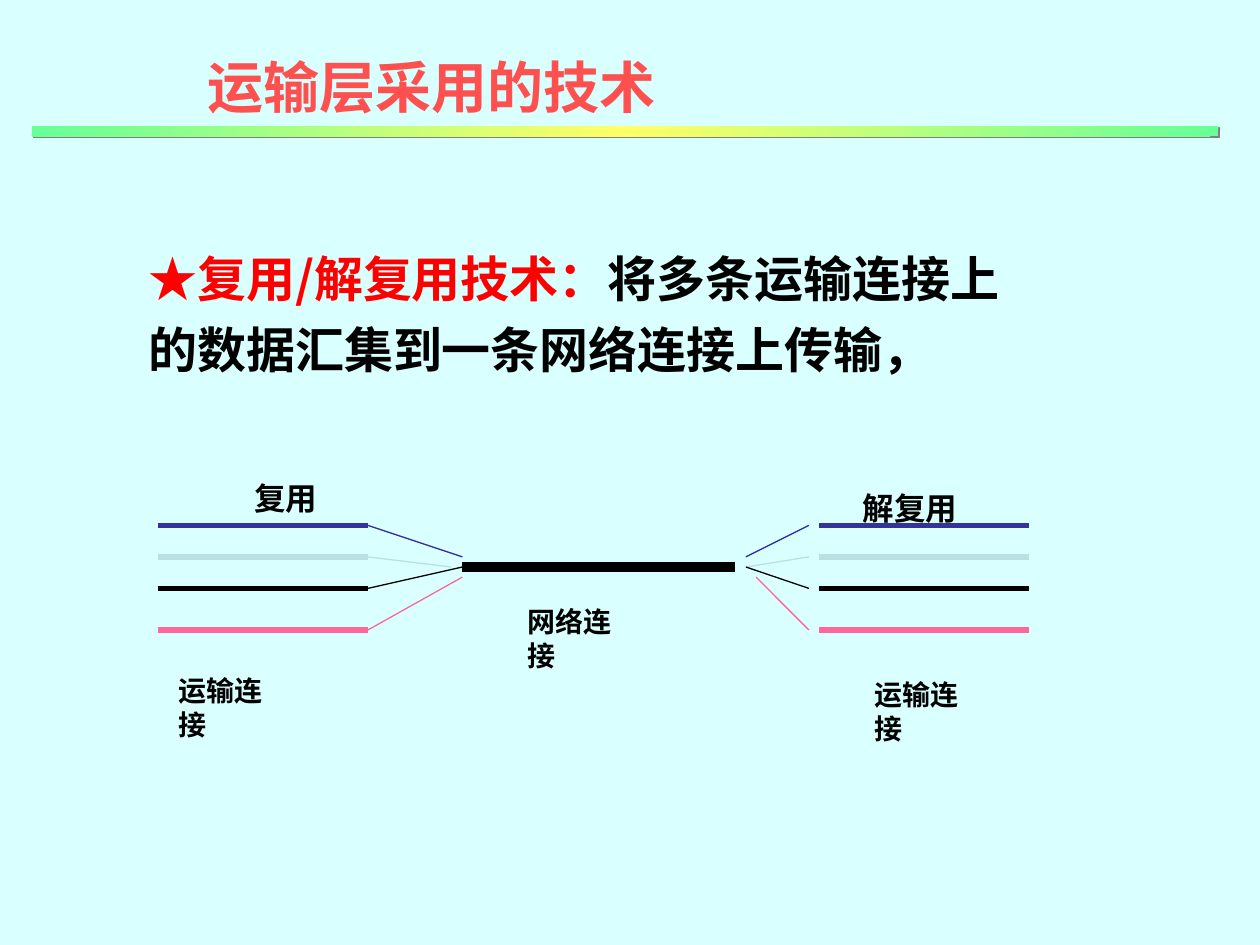
"""Build the slide on multiplexing in the transport layer."""
from dataclasses import dataclass

from lxml.etree import SubElement
from pptx import Presentation
from pptx.dml.color import RGBColor
from pptx.enum.shapes import MSO_CONNECTOR as Connector, MSO_SHAPE as Shape
from pptx.enum.text import MSO_AUTO_SIZE as AutoSize
from pptx.oxml.ns import qn
from pptx.util import Inches, Pt


@dataclass(frozen=True)
class Theme:
    """Colours, fonts and type sizes of the slide."""
    background: str = "D9FFFF"
    title: str = "FF5050"
    keyword: str = "FF0000"
    ink: str = "000000"
    bar_edge: str = "66FF99"
    bar_middle: str = "FFFF66"
    bar_shadow: str = "808080"
    streams: tuple = ("333399", "BBE0E3", "000000", "FF6699")
    cjk: str = "Noto Sans CJK SC"
    latin: str = "Times New Roman"
    title_size: int = 32
    body_size: int = 28
    process_size: int = 18
    label_size: int = 16


THEME = Theme()
STREAM_LEVELS = (4.17, 4.42, 4.67, 5)
MERGE_ENDS = ((3.67, 4.42), (3.58, 4.5), (3.67, 4.5), (3.67, 4.58))
SPLIT_STARTS = ((5.92, 4.42), (5.92, 4.5), (5.92, 4.5), (6, 4.58))
LABELS = (
    ("运输连接", 1.32, 5.3, 1.08, 0.37, THEME.label_size),
    ("运输连接", 6.84, 5.33, 1.08, 0.37, THEME.label_size),
    ("网络连接", 4.09, 4.75, 1.08, 0.37, THEME.label_size),
    ("复用", 1.92, 3.75, 0.7, 0.4, THEME.process_size),
    ("解复用", 6.75, 3.83, 0.95, 0.4, THEME.process_size),
)


def add_text(shapes, box, runs, size, spacing=None, wrap=False):
    """Add a bold one-paragraph text from (text, font, colour) runs."""
    frame = shapes.add_textbox(*map(Inches, box)).text_frame
    frame.word_wrap = wrap
    frame.auto_size = AutoSize.SHAPE_TO_FIT_TEXT
    paragraph = frame.paragraphs[0]
    if spacing:
        paragraph.line_spacing = spacing
    for text, typeface, colour in runs:
        run = paragraph.add_run()
        run.text = text
        run.font.size = Pt(size)
        run.font.bold = True
        run.font.color.rgb = RGBColor.from_string(colour)
        run.font.name = typeface
        east_asian = SubElement(run.font._element, qn("a:ea"))
        east_asian.set("typeface", THEME.cjk)


def add_line(shapes, start, end, colour, width):
    """Add a straight line without shadow."""
    line = shapes.add_connector(Connector.STRAIGHT, *map(Inches, (*start, *end)))
    line.line.color.rgb = RGBColor.from_string(colour)
    line.line.width = Pt(width)
    SubElement(line._element.spPr, qn("a:effectLst"))


def add_colour(parent, colour):
    """Append an RGB colour element to a parent element."""
    SubElement(parent, qn("a:srgbClr")).set("val", colour)


def add_title_bar(shapes):
    """Add the gradient bar with its hard shadow under the title."""
    bar = shapes.add_shape(Shape.RECTANGLE, *map(Inches, (0.25, 1, 9.42, 0.08)))
    bar.line.fill.background()
    bar.fill.gradient()
    bar.fill.gradient_angle = 315
    properties = bar._element.spPr
    stops = properties.find(".//" + qn("a:gsLst"))
    stops.clear()
    for percent, colour in ((0, THEME.bar_edge), (50, THEME.bar_middle), (100, THEME.bar_edge)):
        stop = SubElement(stops, qn("a:gs"))
        stop.set("pos", str(percent * 1000))
        add_colour(stop, colour)
    bar.shadow.inherit = False
    shadow = SubElement(properties.find(qn("a:effectLst")), qn("a:outerShdw"))
    for key, value in (("dist", Pt(1.4)), ("dir", 45 * 60000), ("algn", "ctr"), ("rotWithShape", 0)):
        shadow.set(key, str(value))
    add_colour(shadow, THEME.bar_shadow)


def add_streams(shapes, left):
    """Add one set of parallel transport connections."""
    for level, colour in zip(STREAM_LEVELS, THEME.streams):
        add_line(shapes, (left, level), (left + 1.67, level), colour, 3)


def add_diagram(shapes):
    """Add the multiplexing and demultiplexing diagram."""
    add_streams(shapes, 1.25)
    add_line(shapes, (3.67, 4.5), (5.83, 4.5), THEME.ink, 6)
    add_streams(shapes, 6.5)
    for level, merge, split, colour in zip(STREAM_LEVELS, MERGE_ENDS, SPLIT_STARTS, THEME.streams):
        add_line(shapes, (2.92, level), merge, colour, 0.75)
        add_line(shapes, split, (6.42, level), colour, 0.75)
    for text, *box, size in LABELS:
        add_text(shapes, box, [(text, THEME.latin, THEME.ink)], size)


def main():
    """Build and save the presentation."""
    deck = Presentation()
    deck.slide_width, deck.slide_height = Inches(10), Inches(7.5)
    slide = deck.slides.add_slide(deck.slide_layouts[6])
    slide.background.fill.solid()
    slide.background.fill.fore_color.rgb = RGBColor.from_string(THEME.background)
    add_title_bar(slide.shapes)
    add_text(slide.shapes, (1.55, 0.21, 3.76, 0.8),
             [("运输层采用的技术", THEME.cjk, THEME.title)], THEME.title_size, spacing=1.3)
    add_text(slide.shapes, (1.08, 1.83, 7, 1.22), [
        ("★", THEME.latin, THEME.keyword),
        ("复用/解复用技术：", THEME.cjk, THEME.keyword),
        ("将多条运输连接上的数据汇集到一条网络连接上传输，", THEME.cjk, THEME.ink),
    ], THEME.body_size, spacing=1.2, wrap=True)
    add_diagram(slide.shapes.add_group_shape().shapes)
    deck.save("out.pptx")


if __name__ == "__main__":
    main()
